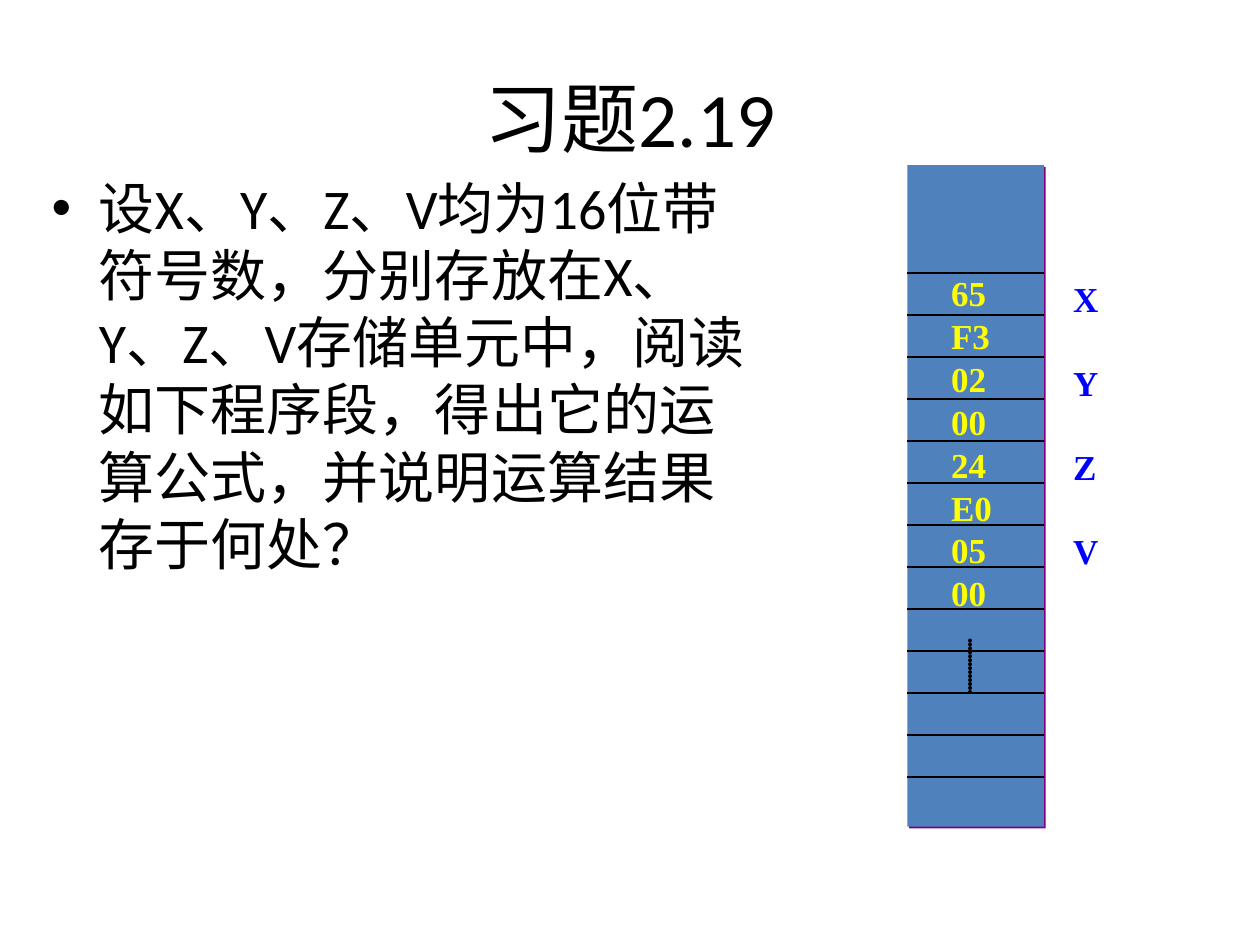
from dataclasses import dataclass

from lxml.etree import SubElement
from pptx import Presentation
from pptx.dml.color import RGBColor as Color
from pptx.enum.shapes import MSO_CONNECTOR as Connector, MSO_SHAPE as Shape
from pptx.enum.text import MSO_ANCHOR as Anchor, MSO_AUTO_SIZE as AutoSize, PP_ALIGN as Align
from pptx.oxml.ns import qn
from pptx.util import Pt


@dataclass(frozen=True)
class Theme:
    """Colours, fonts and type sizes of the slide."""
    ink: str = "000000"
    memory: str = "4F81BD"
    shadow: str = "800080"
    value: str = "FFFF00"
    label: str = "0000FF"
    text_font: str = "Calibri"
    code_font: str = "Times New Roman"
    title_size: int = 44
    body_size: int = 32
    code_size: int = 20


def add_element(parent, tag, **attributes):
    """Append a drawing element with the given attributes."""
    return SubElement(parent, qn(tag), attributes)


def write_text(frame, text, *, size, color, font, bold=False, align=Align.LEFT,
               gap=0, line_spacing=None, bullet=None, indent=0):
    """Fill a text frame with one paragraph for each line of text."""
    for index, line in enumerate(text.split("\n")):
        paragraph = frame.add_paragraph() if index else frame.paragraphs[0]
        paragraph.alignment = align
        paragraph.space_before = Pt(gap if index else 0)
        if line_spacing is not None:
            paragraph.line_spacing = line_spacing
        if bullet:
            properties = paragraph._p.get_or_add_pPr()
            properties.set("marL", str(Pt(indent)))
            properties.set("indent", str(-Pt(indent)))
            properties.set("hangingPunct", "0")
            add_element(properties, "a:buFont", typeface="Arial")
            add_element(properties, "a:buChar", char=bullet)
        run = paragraph.add_run()
        run.text = line
        run.font.size = Pt(size)
        run.font.name = font
        run.font.bold = bold
        run.font.color.rgb = Color.from_string(color)


class SlideBuilder:
    """Holds the theme and the current slide."""

    def __init__(self, presentation, theme):
        """Start a title-only slide."""
        self.theme = theme
        self.slide = presentation.slides.add_slide(presentation.slide_layouts[5])

    def title(self, text, left, top, width, height):
        """Place and format the title placeholder."""
        shape = self.slide.shapes.title
        shape.left, shape.top, shape.width, shape.height = map(Pt, (left, top, width, height))
        shape.text_frame.vertical_anchor = Anchor.MIDDLE
        write_text(shape.text_frame, text, size=self.theme.title_size, color=self.theme.ink,
                   font=self.theme.text_font, align=Align.CENTER)

    def text(self, text, left, top, width, height, wrap=True, grow=False, **style):
        """Add a text box."""
        box = self.slide.shapes.add_textbox(*map(Pt, (left, top, width, height)))
        frame = box.text_frame
        frame.word_wrap = wrap
        frame.auto_size = AutoSize.SHAPE_TO_FIT_TEXT if grow else AutoSize.NONE
        write_text(frame, text, **style)

    def block(self, left, top, width, height):
        """Add the filled memory block with its offset shadow."""
        shape = self.slide.shapes.add_shape(Shape.RECTANGLE, *map(Pt, (left, top, width, height)))
        shape.fill.solid()
        shape.fill.fore_color.rgb = Color.from_string(self.theme.memory)
        shape.line.fill.background()
        shape.shadow.inherit = False
        effects = shape._element.spPr.find(qn("a:effectLst"))
        shadow = add_element(effects, "a:outerShdw", dist=str(Pt(1.4)), dir="2700000",
                             algn="ctr", rotWithShape="0")
        add_element(shadow, "a:srgbClr", val=self.theme.shadow)

    def line(self, start, end, width=0.75, dotted=False):
        """Add a straight line between two points."""
        line = self.slide.shapes.add_connector(Connector.STRAIGHT, *map(Pt, (*start, *end)))
        line.line.width = Pt(width)
        line.line.color.rgb = Color.from_string(self.theme.ink)
        if dotted:
            outline = line.line._get_or_add_ln()
            outline.set("cap", "rnd")
            dashes = add_element(outline, "a:custDash")
            add_element(dashes, "a:ds", d="1000", sp="100000")
        add_element(line._element.spPr, "a:effectLst")


def main():
    """Build the exercise slide."""
    presentation = Presentation()
    presentation.slide_width, presentation.slide_height = Pt(720), Pt(540)
    theme = Theme()
    builder = SlideBuilder(presentation, theme)
    code = {"size": theme.code_size, "font": theme.code_font, "bold": True, "grow": True}

    builder.title("习题2.19", 36, 21.6, 648, 90)
    builder.text("设X、Y、Z、V均为16位带符号数，分别存放在X、Y、Z、V存储单元中，"
                 "阅读如下程序段，得出它的运算公式，并说明运算结果存于何处？",
                 22.4, 95.5, 422, 402.5, size=theme.body_size, color=theme.ink,
                 font=theme.text_font, bullet="•", indent=27)

    left, width, row_height = 518.5, 78, 24
    builder.block(left, 94.4, width, 378)
    for row in range(13):
        y = 156 + row * row_height
        builder.line((left, y), (left + width, y))

    builder.text("\n".join("XYZV"), 606.2, 155, 29, 175.7, wrap=False, color=theme.label,
                 line_spacing=Pt(row_height), gap=row_height, **code)
    builder.text("\n".join(("65", "F3", "02", "00", "24", "E0", "05", "00")),
                 536.4, 162, 48, 215.3, color=theme.value, line_spacing=0.5, gap=12.5, **code)
    builder.line((554.4, 366), (554.4, 396), width=2.25, dotted=True)

    presentation.save("out.pptx")


if __name__ == "__main__":
    main()
